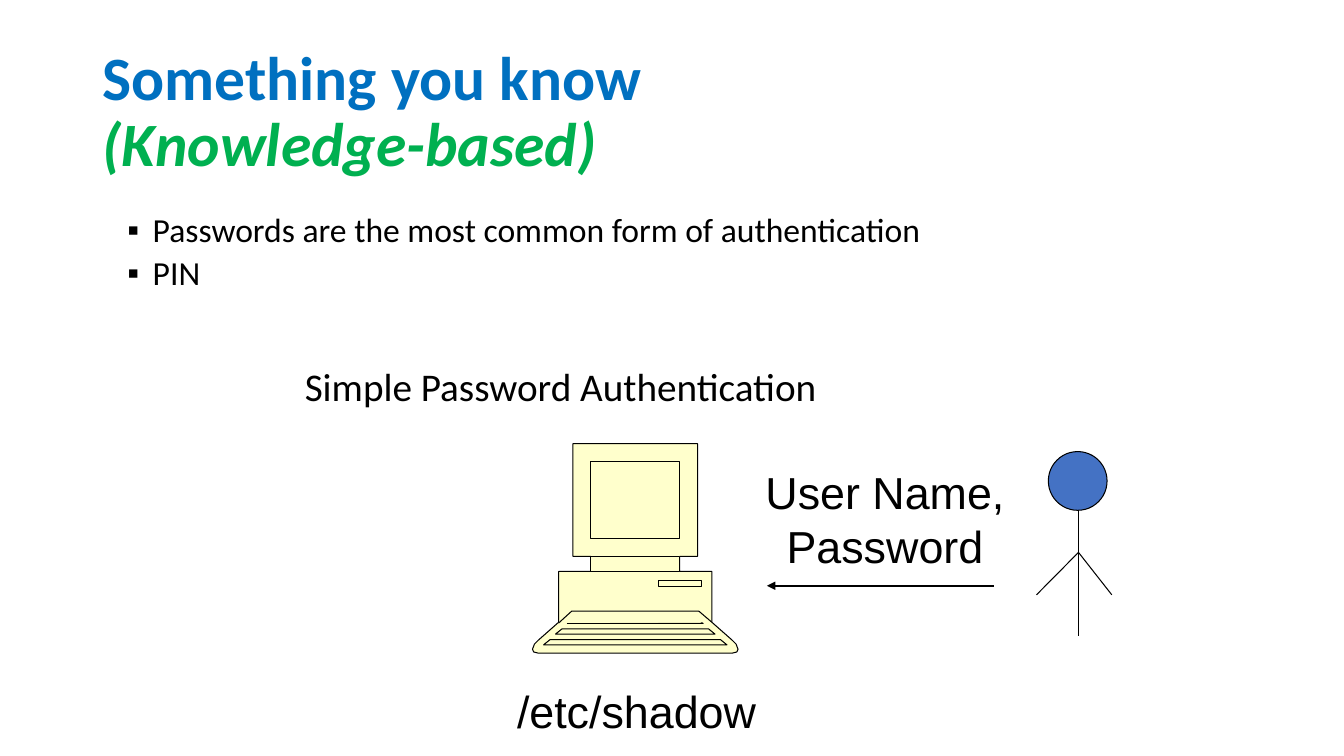
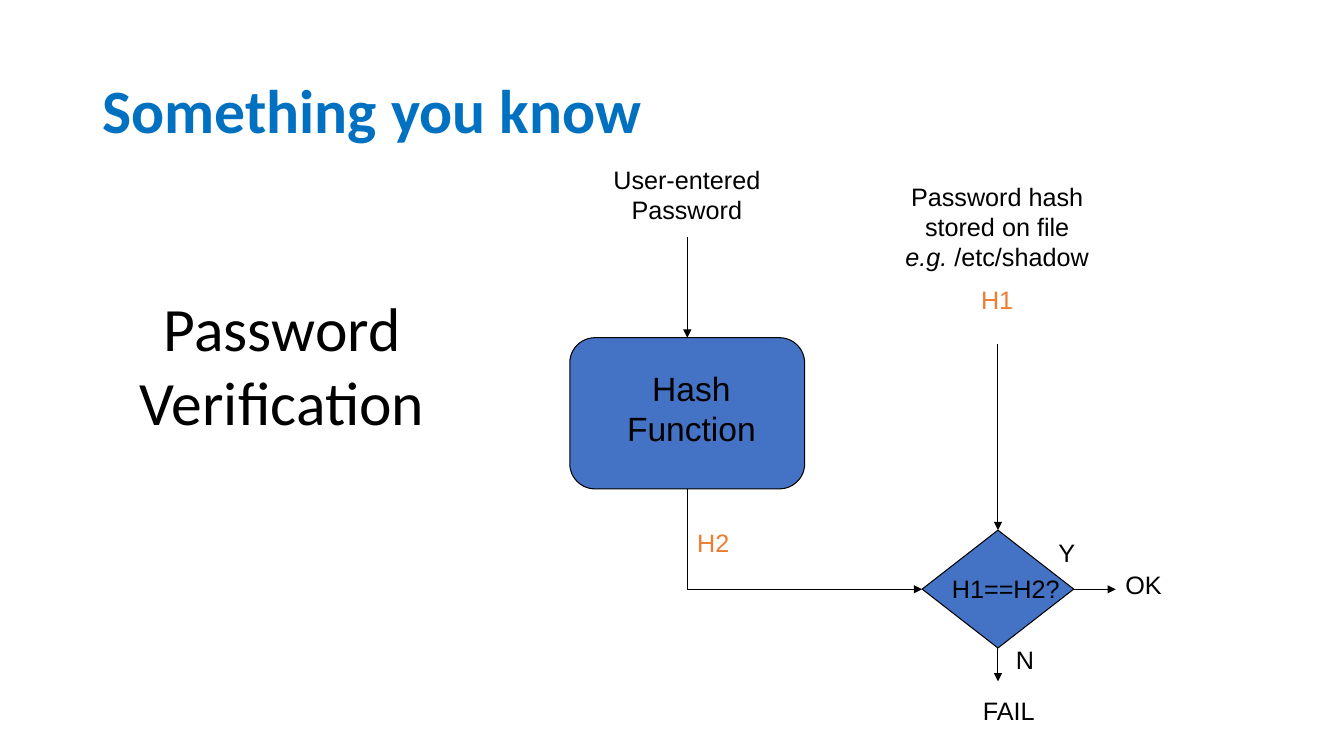
from lxml import etree
from pptx import Presentation
from pptx.dml.color import RGBColor
from pptx.enum.shapes import MSO_CONNECTOR, MSO_SHAPE
from pptx.enum.text import MSO_ANCHOR, PP_ALIGN
from pptx.oxml.ns import qn
from pptx.util import Cm, Pt

BLACK = RGBColor(0x00, 0x00, 0x00)
TITLE_BLUE = RGBColor(0x00, 0x70, 0xC0)
TITLE_GREEN = RGBColor(0x00, 0xB0, 0x50)
SHAPE_BLUE = RGBColor(0x44, 0x72, 0xC4)
HASH_ORANGE = RGBColor(0xED, 0x7D, 0x31)
COMPUTER_CREAM = RGBColor(0xFF, 0xFF, 0xCC)

HEADING_FONT = "Calibri"
DIAGRAM_FONT = "Arial"
LEFT, CENTER = PP_ALIGN.LEFT, PP_ALIGN.CENTER
TOP, MIDDLE = MSO_ANCHOR.TOP, MSO_ANCHOR.MIDDLE
STRAIGHT, ELBOW = MSO_CONNECTOR.STRAIGHT, MSO_CONNECTOR.ELBOW
OVAL, DIAMOND, ROUNDED = MSO_SHAPE.OVAL, MSO_SHAPE.DIAMOND, MSO_SHAPE.ROUNDED_RECTANGLE
THIN = 0.75


# Shared helpers, all lengths in centimetres
def add_run(paragraph, text, size, font=DIAGRAM_FONT, color=BLACK, bold=False, italic=False):
    run = paragraph.add_run()
    run.text = text
    run.font.size = Pt(size)
    run.font.name = font
    run.font.color.rgb = color
    run.font.bold = bold
    run.font.italic = italic


def add_box(slide, left, top, width, height, anchor=TOP):
    box = slide.shapes.add_textbox(Cm(left), Cm(top), Cm(width), Cm(height))
    box.text_frame.word_wrap = True
    box.text_frame.vertical_anchor = anchor
    return box.text_frame


def add_label(slide, left, top, width, height, text, size, font=DIAGRAM_FONT,
              color=BLACK, align=CENTER, anchor=TOP):
    frame = add_box(slide, left, top, width, height, anchor)
    paragraph = frame.paragraphs[0]
    paragraph.alignment = align
    add_run(paragraph, text, size, font, color)
    return frame


def style_shape(shape, fill):
    shape.shadow.inherit = False
    shape.fill.solid()
    shape.fill.fore_color.rgb = fill
    shape.line.color.rgb = BLACK
    shape.line.width = Pt(THIN)


def add_preset(slide, kind, left, top, width, height, fill):
    shape = slide.shapes.add_shape(kind, Cm(left), Cm(top), Cm(width), Cm(height))
    style_shape(shape, fill)


def add_layered_freeform(slide, left, top, contours, fill):
    """Each contour is (points, closed) and is filled on top of the one before."""
    builder = None
    for points, closed in contours:
        corners = [(Cm(left + x), Cm(top + y)) for x, y in points]
        if builder is None:
            builder = slide.shapes.build_freeform(*corners[0])
        else:
            builder.move_to(*corners[0])
        builder.add_line_segments(corners[1:], close=closed)
    shape = builder.convert_to_shape()
    style_shape(shape, fill)

    # Give every contour its own layer, so that overlaps do not become holes
    layer_list = shape._element.spPr.find(qn("a:custGeom")).find(qn("a:pathLst"))
    layer = layer_list[0]
    size = dict(layer.attrib)
    for step in list(layer)[1:]:
        if step.tag == qn("a:moveTo"):
            layer = etree.SubElement(layer_list, qn("a:path"), size)
        layer.append(step)


def add_line(slide, start, end, arrow=False, width=THIN, kind=STRAIGHT):
    line = slide.shapes.add_connector(kind, *(Cm(value) for value in (*start, *end)))
    line.line.color.rgb = BLACK
    line.line.width = Pt(width)
    properties = line._element.spPr
    if arrow:
        etree.SubElement(properties.find(qn("a:ln")), qn("a:tailEnd"), type="triangle")
    etree.SubElement(properties, qn("a:effectLst"))
    return line


def add_corner_arrow(slide, start, end):
    """Arrow that runs down from start and then right to end."""
    center_x, center_y = (start[0] + end[0]) / 2, (start[1] + end[1]) / 2
    half_run, half_drop = (end[0] - start[0]) / 2, (end[1] - start[1]) / 2
    # The unrotated frame is a quarter turn away, mirrored left to right
    arrow = add_line(slide, (center_x + half_drop, center_y - half_run),
                     (center_x - half_drop, center_y + half_run), arrow=True, kind=ELBOW)
    properties = arrow._element.spPr
    properties.find(qn("a:xfrm")).set("rot", "16200000")
    properties.find(qn("a:prstGeom")).set("prst", "bentConnector2")


def add_title(slide, *lines):
    """Each line is (text, colour, italic)."""
    paragraph = add_box(slide, 2.34, 1.02, 29.21, 3.68, MIDDLE).paragraphs[0]
    paragraph.line_spacing = 0.9
    for index, (text, color, italic) in enumerate(lines):
        if index:
            paragraph.add_line_break()
        add_run(paragraph, text, 44, HEADING_FONT, color, True, italic)


def add_bullets(slide, left, top, width, height, items):
    frame = add_box(slide, left, top, width, height)
    for index, item in enumerate(items):
        paragraph = frame.add_paragraph() if index else frame.paragraphs[0]
        paragraph.line_spacing = 0.9
        paragraph.space_before = Pt(5)
        add_run(paragraph, item, 24, HEADING_FONT)
        properties = paragraph._p.get_or_add_pPr()
        properties.set("marL", str(Cm(1.9)))
        properties.set("indent", str(-Cm(0.64)))
        etree.SubElement(properties, qn("a:buFont"), typeface="Arial")
        etree.SubElement(properties, qn("a:buChar"), char="▪")


# Pictograms
def mirrored(side):
    """Complete a symmetric contour from its right side, listed top to bottom."""
    return side + [(-x, y) for x, y in reversed(side)]


def add_computer(slide, left, top):
    # Points are measured from the vertical axis of the computer
    outline = mirrored([(1.57, 0), (1.57, 2.84), (1.12, 2.84), (1.12, 3.22), (1.93, 3.22),
                        (1.93, 4.5), (2.44, 4.95), (2.54, 5.05), (2.59, 5.18),
                        (2.56, 5.25), (2.44, 5.28)])
    key_rows = [mirrored([(1.55 + 0.3 * row, 4.4 + 0.27 * row),
                          (1.71 + 0.3 * row, 4.53 + 0.27 * row)]) for row in range(3)]
    keyboard_back = [(1.93, 4.5), (1.6, 4.22), (-1.6, 4.22), (-1.93, 4.52)]
    drive_slot = [(0.58, 3.45), (0.58, 3.6), (1.68, 3.6), (1.68, 3.45)]
    screen = mirrored([(1.12, 0.46), (1.12, 2.39)])
    neck = mirrored([(1.12, 2.84), (1.12, 3.22)])
    contours = [(points, True) for points in (outline, *key_rows)]
    contours.append((keyboard_back, False))
    contours += [(points, True) for points in (drive_slot, screen, neck)]
    add_layered_freeform(slide, left + 2.59, top, contours, COMPUTER_CREAM)


def add_person(slide, left, top):
    spine = left + 1.06
    shoulder = (spine, top + 2.54)
    add_preset(slide, OVAL, left + 0.3, top, 1.48, 1.48, SHAPE_BLUE)
    add_line(slide, (spine, top + 1.48), (spine, top + 4.65))
    for hand in (0, 1.9):
        add_line(slide, shoulder, (left + hand, top + 3.61))


# Diagrams
def add_login_diagram(slide, left, top):
    add_computer(slide, left + 0.64, top)
    add_person(slide, left + 13.34, top + 0.2)
    add_line(slide, (left + 12.27, top + 3.58), (left + 6.55, top + 3.58), arrow=True, width=1.5)
    add_label(slide, left + 5.93, top + 0.41, 7.19, 2.97, "User Name, Password", 32)
    add_label(slide, left, top + 5.92, 6.9, 1.6, "/etc/shadow", 32, align=LEFT)


def add_verification_flow(slide, left, top):
    hash_x, test_x = left + 3.4, left + 11.23
    hash_top, hash_bottom = top + 4.5, top + 8.31
    test_top, test_middle, test_bottom = top + 9.35, top + 10.84, top + 12.32
    test_left, test_right = test_x - 1.91, test_x + 1.91

    # Inputs
    add_label(slide, left, top, 6.78, 1.8, "User-entered Password", 18)
    stored = add_label(slide, left + 8.57, top + 0.43, 5.28, 4.88,
                       "Password hash stored on file ", 18)
    add_run(stored.paragraphs[0], "e.g.", 18, italic=True)
    add_run(stored.paragraphs[0], " /etc/shadow", 18)
    stored_name = stored.add_paragraph()
    stored_name.alignment = CENTER
    stored_name.space_before = Pt(9)
    add_run(stored_name, "H1", 18, color=HASH_ORANGE)

    # Hash and comparison
    add_preset(slide, ROUNDED, hash_x - 2.96, hash_top, 5.92, 3.81, SHAPE_BLUE)
    add_label(slide, left + 1.5, hash_top + 0.63, 4.01, 2.29, "Hash Function", 24)
    add_preset(slide, DIAMOND, test_left, test_top, 3.82, 2.97, SHAPE_BLUE)

    # Arrows
    for start, end in [
        ((hash_x, top + 1.96), (hash_x, hash_top)),
        ((test_x, top + 4.65), (test_x, test_top)),
        ((test_right, test_middle), (test_right + 1.06, test_middle)),
        ((test_x, test_bottom), (test_x, test_bottom + 0.84)),
    ]:
        add_line(slide, start, end, arrow=True)
    add_corner_arrow(slide, (hash_x, hash_bottom), (test_left, test_middle))

    # Names and outcomes
    for text, x, y, color in [
        ("H2", hash_x, top + 9.16, HASH_ORANGE),
        ("H1==H2?", test_x - 1.41, test_middle - 0.52, BLACK),
        ("Y", test_x + 1.27, test_top + 0.05, BLACK),
        ("OK", test_right + 1.05, test_middle - 0.62, BLACK),
        ("N", test_x + 0.2, test_bottom - 0.21, BLACK),
        ("FAIL", test_x - 0.63, test_bottom + 1.07, BLACK),
    ]:
        add_label(slide, x, y, 4.24, 1.02, text, 18, color=color, align=LEFT)


# Slides
def build_knowledge_slide(slide):
    add_title(slide, ("Something you know", TITLE_BLUE, False),
              ("(Knowledge-based)", TITLE_GREEN, True))
    add_bullets(slide, 1.7, 5.26, 30.66, 3.25,
                ["Passwords are the most common form of authentication", "PIN"])
    add_label(slide, 7.1, 9.09, 14.05, 1.27, "Simple Password Authentication", 28,
              HEADING_FONT, anchor=MIDDLE)
    add_login_diagram(slide, 12.78, 11.18)


def build_verification_slide(slide):
    add_title(slide, ("Something you know", TITLE_BLUE, False))
    add_label(slide, 0.18, 7.59, 13.87, 3.18, "Password Verification", 44,
              HEADING_FONT, anchor=MIDDLE)
    add_verification_flow(slide, 13.92, 4.01)


def main():
    presentation = Presentation()
    presentation.slide_width, presentation.slide_height = Cm(33.87), Cm(19.05)
    blank = presentation.slide_layouts[6]
    for build in (build_knowledge_slide, build_verification_slide):
        build(presentation.slides.add_slide(blank))
    presentation.save("out.pptx")


if __name__ == "__main__":
    main()
